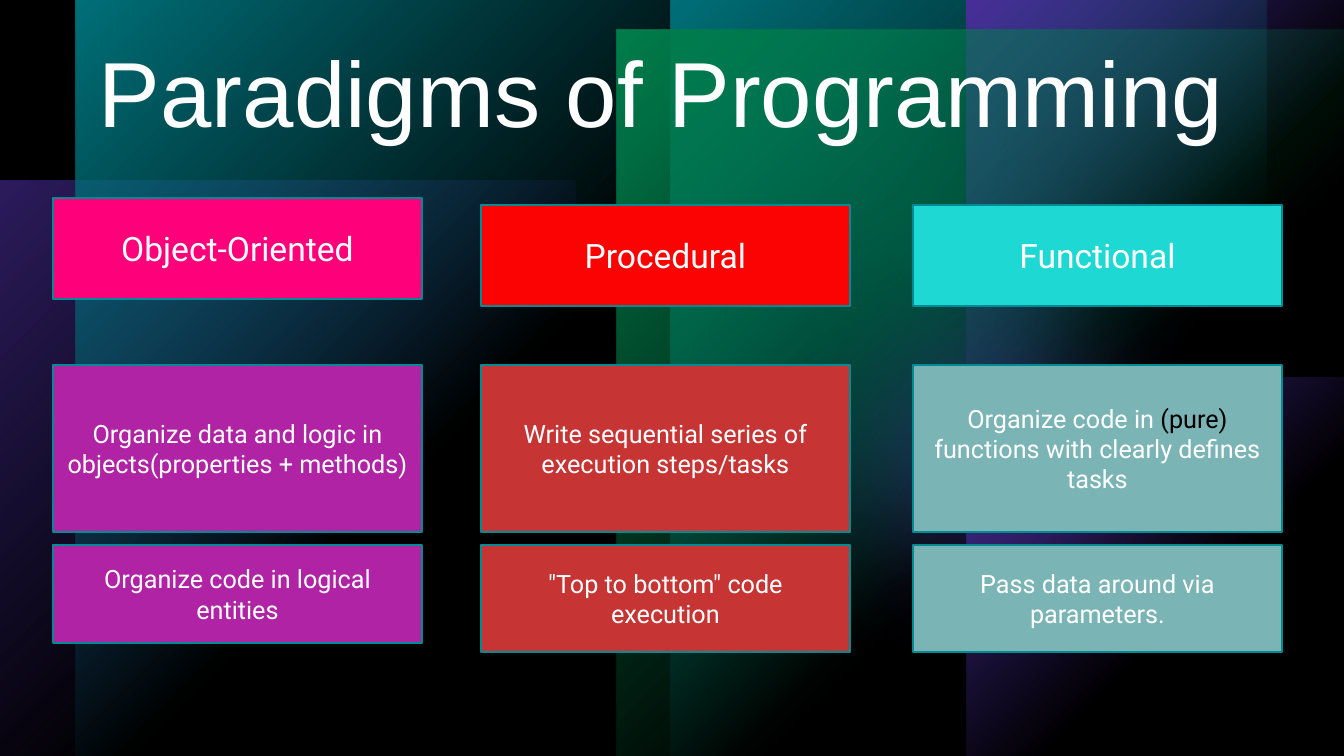
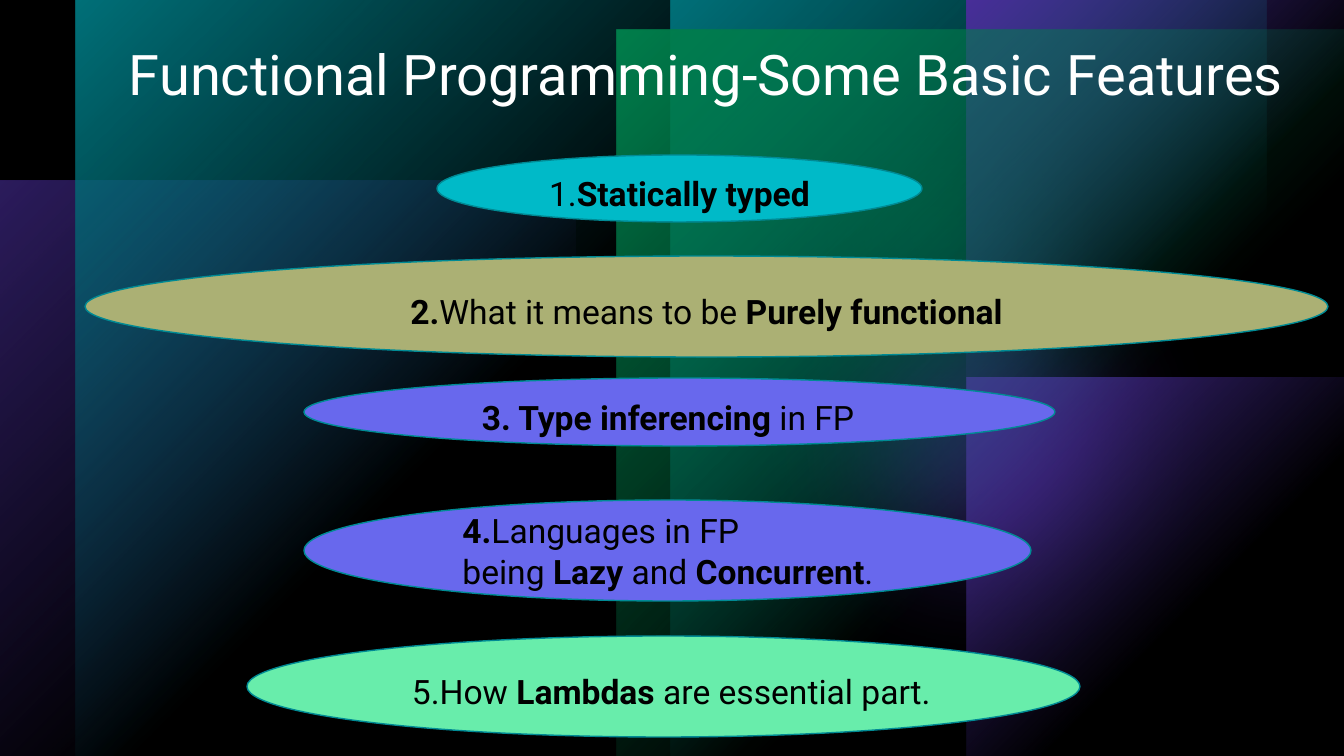
from dataclasses import dataclass

from pptx import Presentation
from pptx.dml.color import RGBColor
from pptx.enum.shapes import MSO_SHAPE
from pptx.enum.text import MSO_ANCHOR, PP_ALIGN
from pptx.oxml import parse_xml
from pptx.oxml.ns import nsdecls, qn
from pptx.util import Emu, Pt

WIDTH, HEIGHT = 1344, 756
SCALE = 12192000 / WIDTH
RECT, OVAL = MSO_SHAPE.RECTANGLE, MSO_SHAPE.OVAL
LEFT, CENTER = PP_ALIGN.LEFT, PP_ALIGN.CENTER


@dataclass(frozen=True)
class Theme:
    font: str = "Roboto"
    title_font: str = "Arial"
    black: str = "000000"
    white: str = "FFFFFF"
    outline: str = "008A94"
    teal: str = "00BAC8"
    green: str = "00D17D"
    violet: str = "794DFF"
    periwinkle: str = "6868ED"
    title_size: int = 66
    subtitle_size: int = 40
    large: int = 24
    body: int = 18


THEME = Theme()
BOLD = {"bold": True}

# kind, box, colour, opacity in percent, rotation, flipped
BACKDROP = [
    ("fade", (0, 180, 576, 576), THEME.violet, 60, 270, False),
    ("glow", (704, 0, 476, 476), THEME.green, 96, 0, False),
    ("glow", (674, 136, 607, 607), THEME.violet, 60, 0, False),
    ("fade", (671, 0, 596, 756), THEME.teal, 100, 0, False),
    ("fade", (76, 0, 596, 756), THEME.teal, 100, 0, True),
    ("fade", (966, 378, 378, 378), THEME.violet, 100, 90, False),
    ("fade", (966, 0, 378, 378), THEME.violet, 100, 90, True),
    ("fade", (617, 30, 727, 727), THEME.green, 100, 180, False),
    ("veil", (0, 0, WIDTH, HEIGHT), THEME.black, 40, 0, False),
]

COLUMN_WIDTH = 369
HEADER_HEIGHT = 101
IDEA_TOP, IDEA_HEIGHT = 365, 167
DETAIL_TOP = 545
PARADIGMS = [
    {"left": 53, "header_top": 198, "detail_height": 98,
     "header_fill": "FF007B", "body_fill": "B023A4",
     "name": "Object-Oriented",
     "idea": ["Organize data and logic in objects(properties + methods)"],
     "detail": "Organize code in logical entities"},
    {"left": 481, "header_top": 205, "detail_height": 107,
     "header_fill": "FC0303", "body_fill": "C73434",
     "name": "Procedural",
     "idea": ["Write sequential series of execution steps/tasks"],
     "detail": '"Top to bottom" code execution'},
    {"left": 913, "header_top": 205, "detail_height": 107,
     "header_fill": "1ED9D3", "body_fill": "7BB4B5",
     "name": "Functional",
     "idea": ["Organize code in", (" (pure)", {"color": THEME.black}),
              " functions with clearly defines tasks"],
     "detail": "Pass data around via parameters."},
]

# box, fill, alignment, left and top insets, text pieces
FEATURES = [
    ((437, 155, 485, 67), THEME.teal, CENTER, (10, 15),
     ["1.", ("Statically typed", BOLD)]),
    ((85, 256, 1243, 101), "ABB074", CENTER, (10, 15),
     [("2.", BOLD), "What it means to be ", ("Purely functional", BOLD)]),
    ((304, 378, 751, 68), THEME.periwinkle, LEFT, (68, 15),
     [("3. Type inferencing", BOLD), " in FP"]),
    ((304, 500, 727, 101), THEME.periwinkle, LEFT, (52, 5),
     [("4.", BOLD), "Languages in FP", "\n", "being ", ("Lazy", BOLD),
      " and ", ("Concurrent", BOLD), "."]),
    ((247, 636, 833, 101), "68EDAB", LEFT, (43, 15),
     ["5.How ", ("Lambdas", BOLD), " are essential part."]),
]


def px(length):
    return Emu(round(length * SCALE))


def write_text(shape, pieces, size=THEME.body, color=THEME.white, font=THEME.font,
               bold=False, align=CENTER, anchor=MSO_ANCHOR.MIDDLE,
               insets=(10, 5, 10, 5), line_spacing=None):
    """Fill a shape with one paragraph; a piece is text or (text, overrides)."""
    frame = shape.text_frame
    frame.word_wrap = True
    frame.vertical_anchor = anchor
    (frame.margin_left, frame.margin_top,
     frame.margin_right, frame.margin_bottom) = map(px, insets)
    paragraph = frame.paragraphs[0]
    paragraph.alignment = align
    paragraph.line_spacing = line_spacing
    for piece in pieces:
        if piece == "\n":
            paragraph.add_line_break()
            continue
        text, changes = (piece, {}) if isinstance(piece, str) else piece
        run = paragraph.add_run()
        run.text = text
        run.font.name = font
        run.font.size = Pt(size)
        run.font.bold = changes.get("bold", bold)
        run.font.color.rgb = RGBColor.from_string(changes.get("color", color))


def add_plain_shape(slide, kind, box):
    shape = slide.shapes.add_shape(kind, *map(px, box))
    shape.shadow.inherit = False
    return shape


def add_card(slide, kind, box, fill, pieces, **text_format):
    """Add an outlined, filled shape with text."""
    shape = add_plain_shape(slide, kind, box)
    shape.fill.solid()
    shape.fill.fore_color.rgb = RGBColor.from_string(fill)
    shape.line.color.rgb = RGBColor.from_string(THEME.outline)
    shape.line.width = Pt(1)
    write_text(shape, pieces, **text_format)


def add_title(slide, box, text, **text_format):
    title = slide.shapes.add_textbox(*map(px, box))
    write_text(title, [text], align=LEFT, **text_format)


def color_xml(color, opacity):
    return f'<a:srgbClr val="{color}"><a:alpha val="{opacity * 1000}"/></a:srgbClr>'


def fill_xml(kind, color, opacity):
    if kind != "fade":
        return f'<a:solidFill {nsdecls("a")}>{color_xml(color, opacity)}</a:solidFill>'
    return (f'<a:gradFill {nsdecls("a")} rotWithShape="1"><a:gsLst>'
            f'<a:gs pos="0">{color_xml(color, opacity)}</a:gs>'
            f'<a:gs pos="60000">{color_xml(color, 0)}</a:gs></a:gsLst>'
            '<a:path path="circle"><a:fillToRect r="100000" b="100000"/></a:path>'
            '<a:tileRect l="-100000" t="-100000"/></a:gradFill>')


def build_backdrop(presentation, layout, slide):
    """Draw the shared backdrop on a slide and move it to the layout."""
    background = presentation.slide_master.background.fill
    background.solid()
    background.fore_color.rgb = RGBColor.from_string(THEME.black)
    tree = layout.shapes.element
    for placeholder in list(layout.placeholders):
        tree.remove(placeholder.element)
    parts = []
    for kind, box, color, opacity, rotation, flipped in BACKDROP:
        shape = add_plain_shape(slide, OVAL if kind == "glow" else RECT, box)
        shape.rotation = rotation
        shape.line.fill.background()
        shape.fill.background()
        properties = shape.element.spPr
        properties.replace(properties.find(qn("a:noFill")),
                           parse_xml(fill_xml(kind, color, opacity)))
        if flipped:
            properties.find(qn("a:xfrm")).set("flipH", "1")
        if kind == "glow":
            properties.find(qn("a:effectLst")).append(
                parse_xml(f'<a:softEdge {nsdecls("a")} rad="1270000"/>'))
        parts.append(shape.element)
    for part in parts:
        tree.append(part)


def build_paradigms(slide):
    add_title(slide, (89, 24, 1223, 128), "Paradigms of Programming",
              size=THEME.title_size, font=THEME.title_font,
              anchor=MSO_ANCHOR.BOTTOM, line_spacing=0.9)
    for item in PARADIGMS:
        rows = [
            (item["header_top"], HEADER_HEIGHT, item["header_fill"],
             [item["name"]], THEME.large),
            (IDEA_TOP, IDEA_HEIGHT, item["body_fill"], item["idea"], THEME.body),
            (DETAIL_TOP, item["detail_height"], item["body_fill"],
             [item["detail"]], THEME.body),
        ]
        for top, height, fill, pieces, size in rows:
            add_card(slide, RECT, (item["left"], top, COLUMN_WIDTH, height),
                     fill, pieces, size=size)


def build_features(slide):
    for box, fill, align, insets, pieces in FEATURES:
        add_card(slide, OVAL, box, fill, pieces, size=THEME.large,
                 color=THEME.black, align=align, insets=(*insets, 10, 5))
    add_title(slide, (119, 34, 1220, 78),
              "Functional Programming-Some Basic Features",
              size=THEME.subtitle_size, anchor=MSO_ANCHOR.TOP)


def main():
    presentation = Presentation()
    presentation.slide_width, presentation.slide_height = px(WIDTH), px(HEIGHT)
    blank = presentation.slide_layouts[6]
    paradigms = presentation.slides.add_slide(blank)
    build_backdrop(presentation, blank, paradigms)
    build_paradigms(paradigms)
    build_features(presentation.slides.add_slide(blank))
    presentation.save("out.pptx")


if __name__ == "__main__":
    main()
